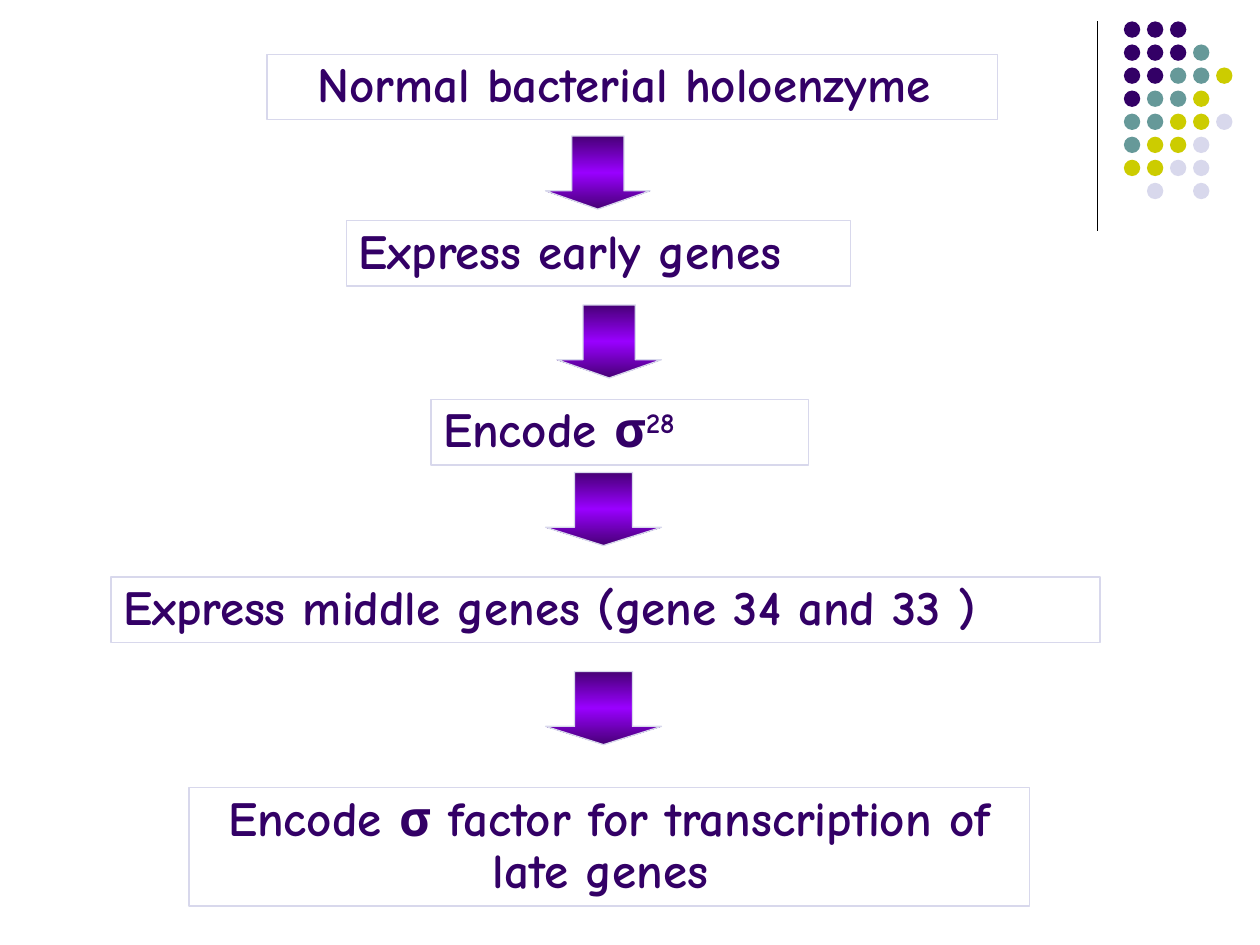
from lxml import etree
from pptx import Presentation
from pptx.dml.color import RGBColor
from pptx.enum.shapes import MSO_CONNECTOR, MSO_SHAPE
from pptx.enum.text import MSO_ANCHOR, PP_ALIGN
from pptx.oxml.ns import qn
from pptx.util import Inches, Pt

COLORS = {
    "ink": "330066", "teal": "669999", "lime": "CCCC00", "pale": "D8D8EC",
    "black": "000000", "arrow_edge": "470076", "arrow_mid": "9900FF",
}
FONT = "Comic Neue"

# Steps: left, top, width, height, alignment, runs of (text, superscript)
STEPS = [
    (2.12, 0.43, 5.8, 0.52, PP_ALIGN.CENTER, [("Normal bacterial holoenzyme ", False)]),
    (2.75, 1.75, 4, 0.52, PP_ALIGN.LEFT, [("Express early genes", False)]),
    (3.42, 3.17, 3, 0.52, PP_ALIGN.LEFT, [("Encode σ", False), ("28", True)]),
    (0.88, 4.58, 7.85, 0.52, PP_ALIGN.LEFT,
     [("Express middle genes (gene 34 and 33 )", False)]),
    (1.5, 6.25, 6.67, 0.94, PP_ALIGN.CENTER,
     [("Encode σ factor for transcription of late genes ", False)]),
]

# Arrows between steps: left, top, width
ARROWS = [(4.33, 1.08, 0.83), (4.42, 2.42, 0.83), (4.33, 3.75, 0.92), (4.33, 5.33, 0.92)]
ARROW_HEIGHT = 0.58
GRADIENT = [(0, "arrow_edge"), (50, "arrow_mid"), (100, "arrow_edge")]

# Corner dots, one letter per dot and a point for a gap
DOT_ROWS = ["iii", "iiit", "iittl", "ittl", "ttllp", "tllp", "llpp", ".p.p"]
DOT_KEYS = {"i": "ink", "t": "teal", "l": "lime", "p": "pale"}
DOT_LEFT, DOT_TOP, DOT_STEP, DOT_SIZE = 8.92, 0.17, 0.183, 0.13


def rgb(key):
    return RGBColor.from_string(COLORS[key])


def add_shape(shapes, kind, left, top, width, height):
    s = shapes.add_shape(kind, *map(Inches, (left, top, width, height)))
    s.shadow.inherit = False
    return s


def outline(s, key):
    s.line.color.rgb = rgb(key)
    s.line.width = Pt(0.75)


def add_step(shapes, left, top, width, height, align, runs):
    s = add_shape(shapes, MSO_SHAPE.RECTANGLE, left, top, width, height)
    s.fill.background()
    outline(s, "pale")
    tf = s.text_frame
    tf.word_wrap = True
    tf.vertical_anchor = MSO_ANCHOR.TOP
    p = tf.paragraphs[0]
    p.alignment = align
    p.line_spacing = 0.9
    for text, superscript in runs:
        r = p.add_run()
        r.text = text
        for name, value in {"name": FONT, "size": Pt(28), "bold": True}.items():
            setattr(r.font, name, value)
        r.font.color.rgb = rgb("ink")
        if superscript:
            r._r.get_or_add_rPr().set("baseline", "30000")


def add_arrow(shapes, left, top, width):
    s = add_shape(shapes, MSO_SHAPE.DOWN_ARROW, left, top, width, ARROW_HEIGHT)
    s.adjustments[0], s.adjustments[1] = 0.5, 0.25
    outline(s, "pale")
    s.fill.gradient()
    s.fill.gradient_angle = 270
    # Three gradient stops
    stops = s._element.spPr.find(qn("a:gradFill")).find(qn("a:gsLst"))
    for stop in list(stops):
        stops.remove(stop)
    for percent, key in GRADIENT:
        stop = etree.SubElement(stops, qn("a:gs"), pos=str(percent * 1000))
        etree.SubElement(stop, qn("a:srgbClr"), val=COLORS[key])


prs = Presentation()
prs.slide_width, prs.slide_height = Inches(10), Inches(7.5)
slide = prs.slides.add_slide(prs.slide_layouts[6])
shapes = slide.shapes

# Corner rule
rule = shapes.add_connector(
    MSO_CONNECTOR.STRAIGHT, *map(Inches, (8.71, 0.17, 8.71, 1.83)))
outline(rule, "black")
etree.SubElement(rule._element.spPr, qn("a:effectLst"))

# Corner dots
dots = shapes.add_group_shape()
for row, letters in enumerate(DOT_ROWS):
    for col, letter in enumerate(letters):
        if letter in DOT_KEYS:
            s = add_shape(dots.shapes, MSO_SHAPE.OVAL, DOT_LEFT + col * DOT_STEP,
                          DOT_TOP + row * DOT_STEP, DOT_SIZE, DOT_SIZE)
            s.fill.solid()
            s.fill.fore_color.rgb = rgb(DOT_KEYS[letter])
            s.line.fill.background()

# Flow of steps and arrows
for step in STEPS:
    add_step(shapes, *step)
for arrow in ARROWS:
    add_arrow(shapes, *arrow)

prs.save("out.pptx")
